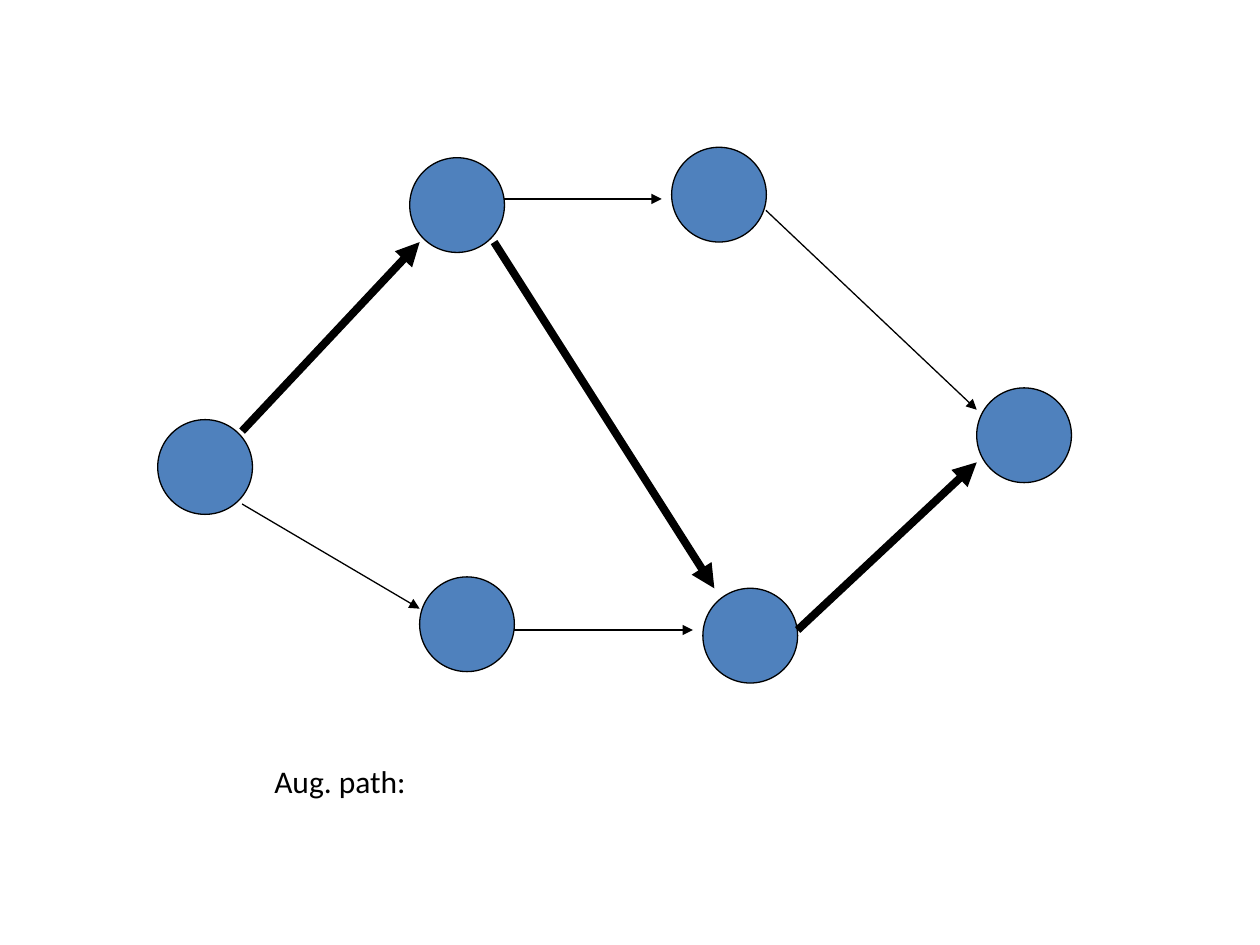
from lxml import etree
from pptx import Presentation
from pptx.dml.color import RGBColor
from pptx.enum.shapes import MSO_CONNECTOR, MSO_SHAPE
from pptx.enum.text import MSO_AUTO_SIZE
from pptx.oxml.ns import qn
from pptx.util import Cm, Pt

OVAL = MSO_SHAPE.OVAL
STRAIGHT = MSO_CONNECTOR.STRAIGHT
GROW = MSO_AUTO_SIZE.SHAPE_TO_FIT_TEXT

BLACK, BLUE = "000000", "4F81BD"
THIN, THICK = 0.75, 4.5
DIAMETER = 1.91

NODES = [
    (3.18, 8.46),
    (8.46, 11.63),
    (8.26, 3.18),
    (19.69, 7.82),
    (14.17, 11.86),
    (13.54, 2.97),
]
EDGES = [
    ((4.88, 8.69), (8.46, 4.88), THICK),
    ((4.88, 10.16), (8.46, 12.27), THIN),
    ((10.16, 4.01), (13.34, 4.01), THIN),
    ((10.36, 12.7), (13.97, 12.7), THIN),
    ((9.96, 4.88), (14.4, 11.86), THICK),
    ((15.44, 4.24), (19.69, 8.26), THIN),
    ((16.08, 12.7), (19.69, 9.32), THICK),
]
CAPTION = "Aug. path:"
CAPTION_BOX = (5.28, 15.24, 16.71, 1.02)
CAPTION_FONT = {"name": "Calibri", "size": Pt(18)}


def paint(color_format, hex_color):
    color_format.rgb = RGBColor.from_string(hex_color)


def add_node(slide, left, top):
    node = slide.shapes.add_shape(OVAL, *map(Cm, (left, top, DIAMETER, DIAMETER)))
    node.shadow.inherit = False
    node.fill.solid()
    paint(node.fill.fore_color, BLUE)
    paint(node.line.color, BLACK)
    node.line.width = Pt(THIN)


def add_edge(slide, start, end, weight):
    edge = slide.shapes.add_connector(STRAIGHT, *map(Cm, start + end))
    paint(edge.line.color, BLACK)
    edge.line.width = Pt(weight)
    etree.SubElement(edge.line._get_or_add_ln(), qn("a:tailEnd"), type="triangle")
    etree.SubElement(edge._element.spPr, qn("a:effectLst"))


def add_caption(slide):
    frame = slide.shapes.add_textbox(*map(Cm, CAPTION_BOX)).text_frame
    frame.word_wrap = True
    frame.auto_size = GROW
    run = frame.paragraphs[0].add_run()
    run.text = CAPTION
    for attribute, value in CAPTION_FONT.items():
        setattr(run.font, attribute, value)
    paint(run.font.color, BLACK)


def main():
    deck = Presentation()
    deck.slide_width, deck.slide_height = Cm(25.4), Cm(19.05)
    slide = deck.slides.add_slide(deck.slide_layouts[6])
    for position in NODES:
        add_node(slide, *position)
    for edge in EDGES:
        add_edge(slide, *edge)
    add_caption(slide)
    deck.save("out.pptx")


if __name__ == "__main__":
    main()
